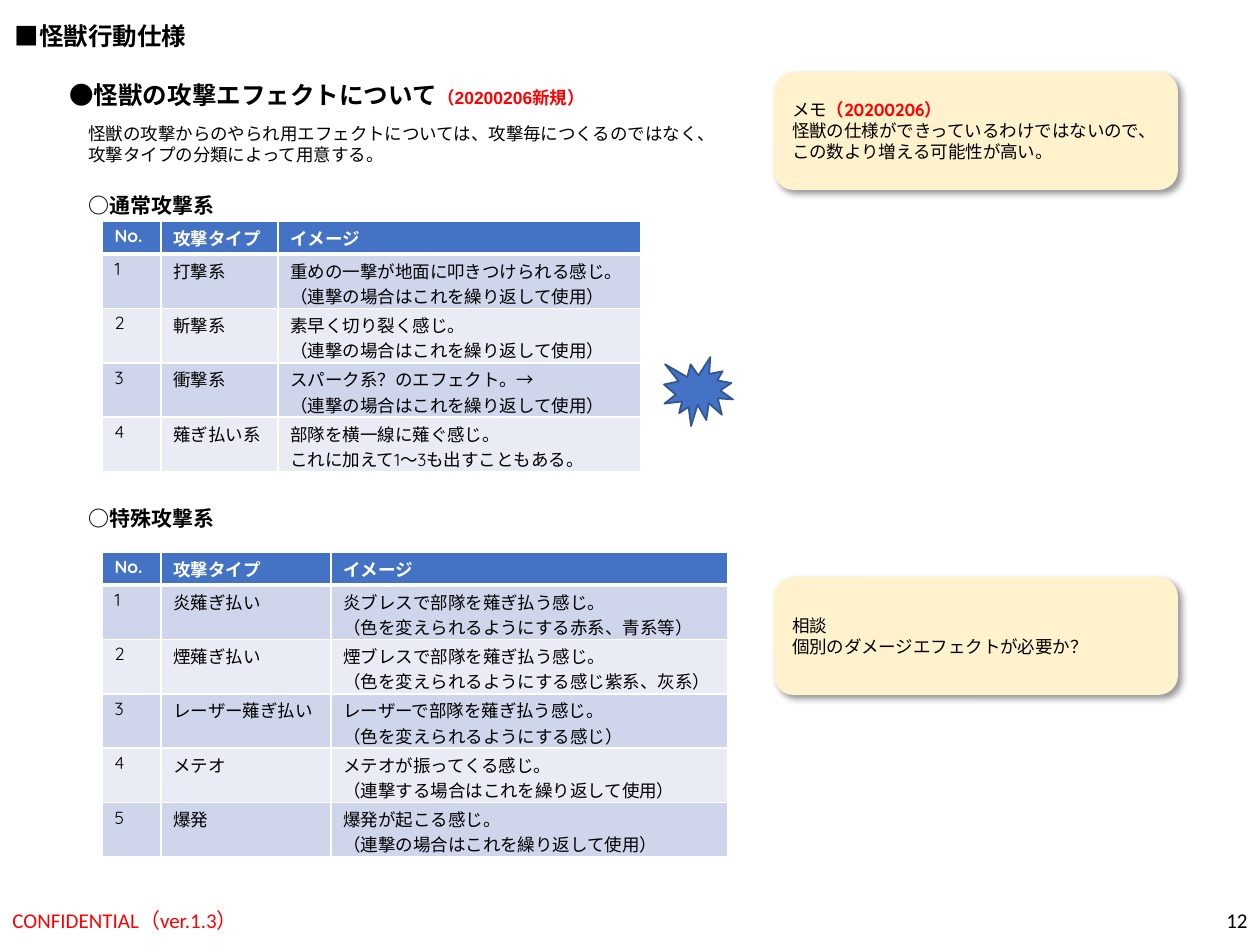
from lxml import etree
from pptx import Presentation
from pptx.dml.color import RGBColor
from pptx.enum.shapes import MSO_SHAPE
from pptx.enum.text import MSO_ANCHOR, MSO_AUTO_SIZE, PP_ALIGN
from pptx.oxml import parse_xml
from pptx.util import Pt

PX = 914400 // 126
NS = "http://schemas.openxmlformats.org/drawingml/2006/main"
ROUND, SEAL = MSO_SHAPE.ROUNDED_RECTANGLE, MSO_SHAPE.EXPLOSION1
TOP, MID = MSO_ANCHOR.TOP, MSO_ANCHOR.MIDDLE
LEFT, RIGHT = PP_ALIGN.LEFT, PP_ALIGN.RIGHT
BLACK, WHITE, RED, BLUE = "000000", "FFFFFF", "FF0000", "4472C4"


def color(code):
    return RGBColor.from_string(code)


def write(frame, lines, form, align=LEFT):
    for i, line in enumerate(lines):
        para = frame.add_paragraph() if i else frame.paragraphs[0]
        para.alignment = align
        for text, extra in line:
            run = para.add_run()
            run.text = text
            look = {"bold": False, **form, **extra}
            run.font.color.rgb = color(look.pop("color"))
            for key, value in look.items():
                setattr(run.font, key, value)


deck = Presentation()
deck.slide_width, deck.slide_height = 1260 * PX, 945 * PX
slide = deck.slides.add_slide(deck.slide_layouts[5])
shapes = slide.shapes

head = {"name": "Arial", "size": Pt(14), "color": BLACK, "bold": True}
sub = {**head, "size": Pt(12)}
plain = {"name": "Arial", "size": Pt(10), "color": BLACK}
foot = {"name": "Calibri", "size": Pt(12), "color": BLACK}
body = {"name": "Quicksand", "size": Pt(10), "color": BLACK}
new = {"size": Pt(10), "color": RED}

texts = [
    ((2, 15, 199, 43), [[("■怪獣行動仕様", {})]], head, TOP, LEFT),
    ((57, 74, 563, 43), [[("●怪獣の攻撃エフェクトについて", {}), ("（20200206新規）", new)]], head, TOP, LEFT),
    ((76, 117, 661, 55), [
        [("怪獣の攻撃からのやられ用エフェクトについては、攻撃毎につくるのではなく、", {})],
        [("攻撃タイプの分類によって用意する。", {})],
    ], plain, TOP, LEFT),
    ((76, 186, 152, 38), [[("○通常攻撃系", {})]], sub, TOP, LEFT),
    ((76, 499, 152, 38), [[("○特殊攻撃系", {})]], sub, TOP, LEFT),
    ((0, 895, 426, 50), [[("CONFIDENTIAL（ver.1.3）", {"color": RED})]], foot, MID, LEFT),
    ((976, 895, 284, 50), [[("12", {})]], foot, MID, RIGHT),
]
for i, (area, lines, form, anchor, align) in enumerate(texts):
    x, y, w, h = [n * PX for n in area]
    box = shapes.add_textbox(x, y, w, h) if i else shapes.title
    box.left, box.top, box.width, box.height = x, y, w, h
    frame = box.text_frame
    frame.word_wrap = anchor == MID
    frame.auto_size = MSO_AUTO_SIZE.NONE
    frame.vertical_anchor = anchor
    write(frame, lines, form, align)

memos = [
    (72, [
        [("メモ", {}), ("（20200206）", {"color": RED, "bold": True})],
        [("怪獣の仕様ができっているわけではないので、", {})],
        [("この数より増える可能性が高い。", {})],
    ]),
    (577, [[("相談", {})], [("個別のダメージエフェクトが必要か？", {})]]),
]
for y, lines in memos:
    memo = shapes.add_shape(ROUND, 774 * PX, y * PX, 404 * PX, 118 * PX)
    memo.fill.solid()
    memo.fill.fore_color.rgb = color("FFF2CC")
    memo.line.fill.background()
    memo.shadow.inherit = False
    glow = memo._element.spPr.find(f"{{{NS}}}effectLst")
    glow.append(parse_xml(
        f'<a:outerShdw xmlns:a="{NS}" blurRad="{Pt(4)}" dist="{Pt(3)}" dir="2700000" algn="tl" rotWithShape="0">'
        f'<a:srgbClr val="{BLACK}"><a:alpha val="40000"/></a:srgbClr></a:outerShdw>'))
    memo.text_frame.word_wrap = True
    memo.text_frame.vertical_anchor = MID
    write(memo.text_frame, lines, body)

REPEAT = "（連撃の場合はこれを繰り返して使用）"
top = ["No.", "攻撃タイプ", "イメージ"]
tables = [
    (221, 252, [59, 117, 363], [
        ("打撃系", "重めの一撃が地面に叩きつけられる感じ。", REPEAT),
        ("斬撃系", "素早く切り裂く感じ。", REPEAT),
        ("衝撃系", "スパーク系？のエフェクト。→", REPEAT),
        ("薙ぎ払い系", "部隊を横一線に薙ぐ感じ。", "これに加えて1～3も出すこともある。"),
    ]),
    (552, 306, [59, 170, 397], [
        ("炎薙ぎ払い", "炎ブレスで部隊を薙ぎ払う感じ。", "（色を変えられるようにする赤系、青系等）"),
        ("煙薙ぎ払い", "煙ブレスで部隊を薙ぎ払う感じ。", "（色を変えられるようにする感じ紫系、灰系）"),
        ("レーザー薙ぎ払い", "レーザーで部隊を薙ぎ払う感じ。", "（色を変えられるようにする感じ）"),
        ("メテオ", "メテオが振ってくる感じ。", "（連撃する場合はこれを繰り返して使用）"),
        ("爆発", "爆発が起こる感じ。", REPEAT),
    ]),
]
for y, h, wide, data in tables:
    rows = [[[t] for t in top]]
    rows += [[[str(n)], [kind], notes] for n, (kind, *notes) in enumerate(data, 1)]
    grid = shapes.add_table(len(rows), 3, 102 * PX, y * PX, sum(wide) * PX, h * PX).table
    for col, w in zip(grid.columns, wide):
        col.width = w * PX
    for r, row in enumerate(rows):
        grid.rows[r].height = (54 if r else 33) * PX
        for c, lines in enumerate(row):
            cell = grid.cell(r, c)
            cell.margin_top, cell.margin_bottom = 4 * PX, 0
            props = cell._tc.get_or_add_tcPr()
            for side in "LRTB":
                thick = (r, side) in [(0, "B"), (1, "T")]
                edge = etree.SubElement(props, f"{{{NS}}}ln{side}", w=str(Pt(3 if thick else 1)))
                paint = etree.SubElement(edge, f"{{{NS}}}solidFill")
                etree.SubElement(paint, f"{{{NS}}}srgbClr", val=WHITE)
            cell.fill.solid()
            cell.fill.fore_color.rgb = color(["E9EBF5", "CFD5EA"][r % 2] if r else BLUE)
            form = body if r else {**body, "color": WHITE, "bold": True}
            write(cell.text_frame, [[(t, {})] for t in lines], form)

spark = shapes.add_shape(SEAL, 664 * PX, 357 * PX, 69 * PX, 69 * PX)
spark.shadow.inherit = False
spark.fill.solid()
spark.fill.fore_color.rgb = color(BLUE)
spark.line.color.rgb = color("325491")
spark.line.width = Pt(1)

deck.save("out.pptx")
